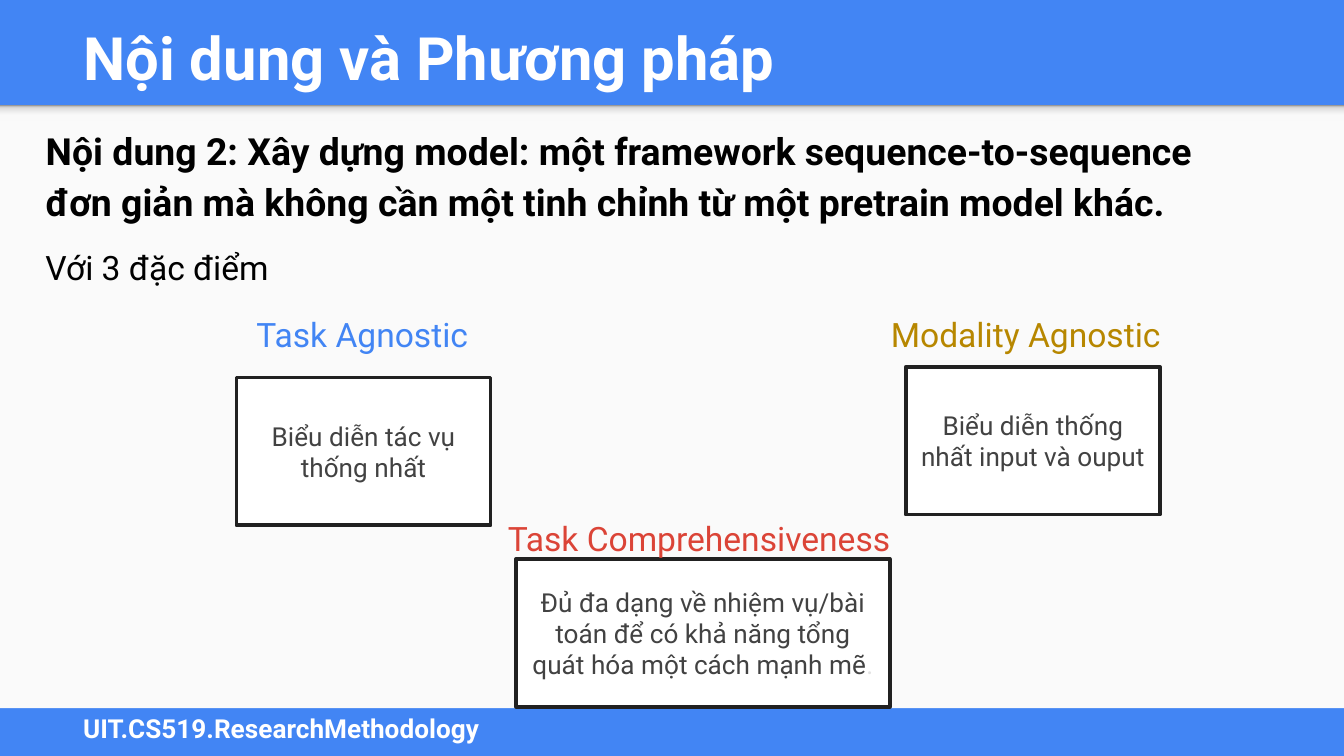
from lxml import etree
from pptx import Presentation
from pptx.dml.color import RGBColor
from pptx.enum.shapes import MSO_SHAPE
from pptx.enum.text import MSO_ANCHOR, MSO_AUTO_SIZE, PP_ALIGN
from pptx.oxml.ns import qn
from pptx.util import Inches, Pt

RECT = MSO_SHAPE.RECTANGLE
TOP, MIDDLE = MSO_ANCHOR.TOP, MSO_ANCHOR.MIDDLE
LEFT, CENTER = PP_ALIGN.LEFT, PP_ALIGN.CENTER
NO_FIT = MSO_AUTO_SIZE.NONE

FONT = "Roboto"
BLUE, WHITE, BLACK = "4285F4", "FFFFFF", "000000"
INK, GREY, PALE = "212121", "424242", "FAFAFA"
GOLD, RED, FAINT = "B78700", "DB4437", "E3E3E3"
SHADE_STOPS = [(0, "F9F9F9"), (36, "F9F9F9"), (80, "DEDEDE"), (100, "999999")]
INDENTED = {"indent": 0.1, "spacing": 1.15}


def color(hex_value):
    return RGBColor.from_string(hex_value)


def format_run(r, size, hex_value, bold=False):
    r.font.name, r.font.size, r.font.bold = FONT, Pt(size), bold
    r.font.color.rgb = color(hex_value)


def write(shape, text, size, hex_value, bold=False, anchor=TOP, align=LEFT,
          v_margin=0.1, indent=0, spacing=1.0):
    tf = shape.text_frame
    tf.text = text
    tf.word_wrap, tf.auto_size, tf.vertical_anchor = True, NO_FIT, anchor
    tf.margin_left = tf.margin_right = Inches(0.1)
    tf.margin_top = tf.margin_bottom = Inches(v_margin)
    p = tf.paragraphs[0]
    p.alignment, p.line_spacing = align, spacing
    p.space_before = p.space_after = Pt(0)
    pPr = p._p.get_or_add_pPr()
    pPr.set("marL", str(Inches(indent)))
    pPr.set("indent", "0")
    etree.SubElement(pPr, qn("a:buNone"))
    format_run(p.runs[0], size, hex_value, bold)
    return p


def add_rect(s, box, fill, line=None):
    sp = s.shapes.add_shape(RECT, *map(Inches, box))
    sp.shadow.inherit = False
    sp.fill.solid()
    sp.fill.fore_color.rgb = color(fill)
    if line:
        sp.line.color.rgb = color(line)
        sp.line.width = Pt(2)
    else:
        sp.line.fill.background()
    return sp


def add_text(s, box, text, size, hex_value, **style):
    sp = s.shapes.add_textbox(*map(Inches, box))
    write(sp, text, size, hex_value, **style)


def fill_placeholder(s, ph, box, text, size, hex_value, **style):
    s.shapes._spTree.append(ph._element)  # bring above the panel
    ph.left, ph.top, ph.width, ph.height = map(Inches, box)
    write(ph, text, size, hex_value, bold=True, **style)


def add_frame(s, width):
    """Blue ground, pale panel with a shaded top edge, and footer text."""
    s.background.fill.solid()
    s.background.fill.fore_color.rgb = color(BLUE)
    add_rect(s, (0, 0.8, width, 4.47), PALE)

    shade = add_rect(s, (0, 0.78, width, 0.12), PALE)
    shade.fill.gradient()
    shade.fill.gradient_angle = 90  # light at the bottom, dark at the top
    stops = shade._element.spPr.find(qn("a:gradFill")).find(qn("a:gsLst"))
    for old in list(stops):
        stops.remove(old)
    for pos, hex_value in SHADE_STOPS:
        gs = etree.SubElement(stops, qn("a:gs"), pos=str(pos * 1000))
        etree.SubElement(gs, qn("a:srgbClr"), val=hex_value)

    add_text(s, (0.52, 5.26, 8.89, 0.32), "UIT.CS519.ResearchMethodology",
             14, WHITE, bold=True, anchor=MIDDLE)


def add_heading(s):
    """Title, body statement and lead-in line."""
    title, body = s.shapes.title, s.placeholders[1]
    fill_placeholder(s, title, (0.52, 0.06, 8.99, 0.73),
                     "Nội dung và Phương pháp", 32, WHITE, anchor=MIDDLE)
    fill_placeholder(s, body, (0.14, 0.8, 8.99, 0.89),
                     "Nội dung 2: Xây dựng model: một framework "
                     "sequence-to-sequence đơn giản mà không cần một "
                     "tinh chỉnh từ một pretrain model khác.",
                     20, BLACK, **INDENTED)
    add_text(s, (0.14, 1.69, 4.56, 0.57), "Với 3 đặc điểm", 18, BLACK, **INDENTED)


def add_feature(s, box, label, label_box, label_color, text):
    """Outlined card with a coloured label; label_box is (dx, dy, width)."""
    x, y = box[:2]
    dx, dy, label_width = label_box
    card = add_rect(s, box, WHITE, INK)
    p = write(card, text, 14, GREY, anchor=MIDDLE, align=CENTER, v_margin=0.05)
    add_text(s, (x + dx, y + dy, label_width, 0.46), label, 18, label_color,
             **INDENTED)
    return p


def main():
    width = 10
    prs = Presentation()
    prs.slide_width, prs.slide_height = Inches(width), Inches(width * 9 / 16)
    s = prs.slides.add_slide(prs.slide_layouts[1])
    add_frame(s, width)
    add_heading(s)

    # Three features
    add_feature(s, (1.76, 2.81, 1.89, 1.1), "Task Agnostic",
                (-0.05, -0.62, 1.99), BLUE, "Biểu diễn tác vụ thống nhất")
    add_feature(s, (6.74, 2.73, 1.89, 1.1), "Modality Agnostic",
                (-0.31, -0.54, 2.52), GOLD, "Biểu diễn thống nhất input và ouput")
    p = add_feature(s, (3.84, 4.16, 2.78, 1.1), "Task Comprehensiveness",
                    (-0.26, -0.45, 3.66), RED,
                    "Đủ đa dạng về nhiệm vụ/bài toán để có khả năng tổng quát "
                    "hóa một cách mạnh mẽ")
    r = p.add_run()
    r.text = "."
    format_run(r, 14, FAINT)
    prs.save("out.pptx")


if __name__ == "__main__":
    main()
